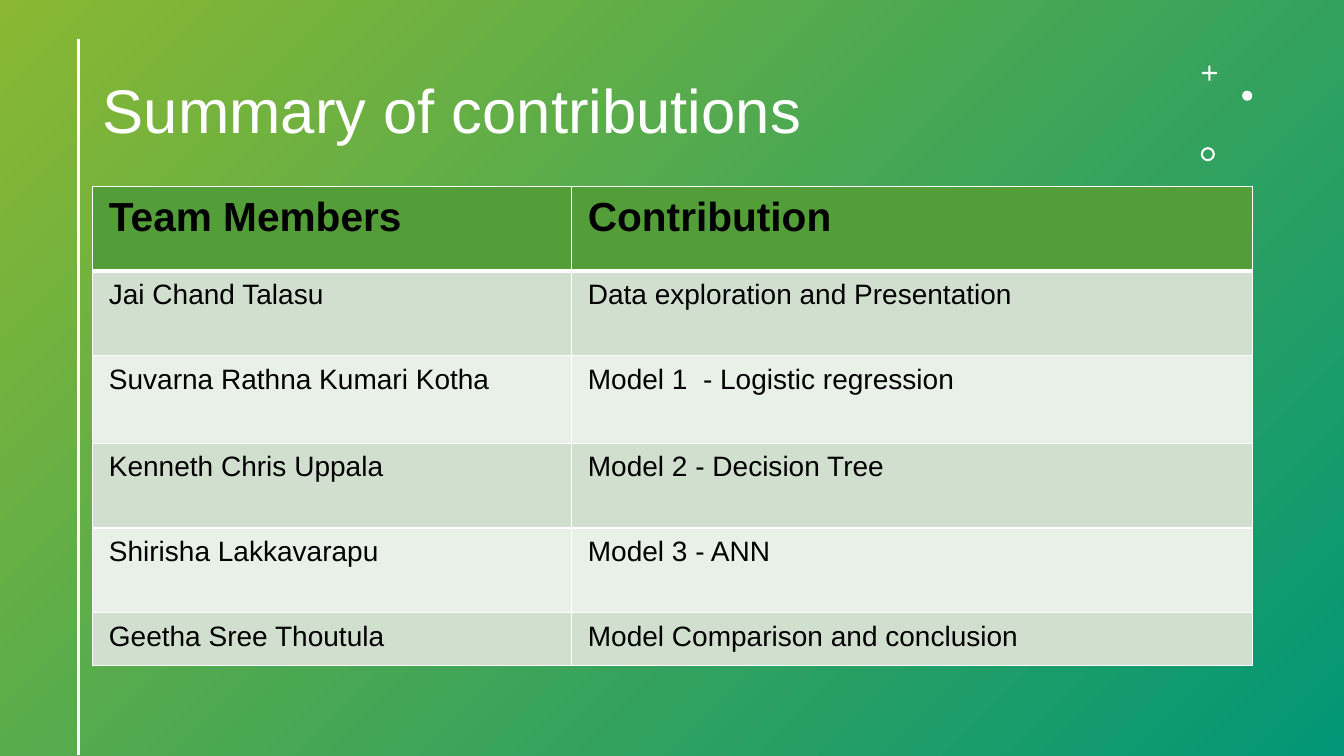
from dataclasses import dataclass

from lxml import etree
from pptx import Presentation
from pptx import util as u
from pptx.dml.color import RGBColor
from pptx.enum import shapes, text
from pptx.oxml import ns


@dataclass(frozen=True)
class Theme:
    font: str = "Arial"
    white: str = "FFFFFF"
    black: str = "000000"
    gradient: tuple = ("8AB833", "029676")
    header: str = "549E39"
    bands: tuple = ("D1DFCE", "E9F0E8")
    title_size: int = 44
    header_size: int = 29
    body_size: int = 20
    thin: int = 1
    rule: int = 2
    thick: int = 3


class Deck:
    def __init__(self, theme):
        self.theme = theme
        self.prs = Presentation()
        self.prs.slide_width = u.Inches(13.33)
        self.prs.slide_height = u.Inches(7.5)
        self.s = self.prs.slides.add_slide(self.prs.slide_layouts[5])

    def style(self, p, size, color, bold=False):
        for r in p.runs:
            r.font.name = self.theme.font
            r.font.size = u.Pt(size)
            r.font.bold = bold
            r.font.color.rgb = RGBColor.from_string(color)

    def shape(self, kind, x, y, w, h, adjust=None):
        sp = self.s.shapes.add_shape(kind, *map(u.Inches, (x, y, w, h)))
        sp.shadow.inherit = False
        sp.line.fill.background()
        sp.fill.solid()
        sp.fill.fore_color.rgb = RGBColor.from_string(self.theme.white)
        if adjust is not None:
            sp.adjustments[0] = adjust
        return sp

    def backdrop(self):
        fill = self.shape(shapes.MSO_SHAPE.RECTANGLE, 0, 0, 13.33, 7.5).fill
        fill.gradient()
        fill.gradient_angle = 315
        for position, (stop, color) in enumerate(zip(fill.gradient_stops, self.theme.gradient)):
            stop.position = position
            stop.color.rgb = RGBColor.from_string(color)

    def title(self, words, x, y, w, h):
        sp = self.s.shapes.title
        self.s.shapes._spTree.append(sp._element)
        sp.left, sp.top, sp.width, sp.height = map(u.Inches, (x, y, w, h))
        tf = sp.text_frame
        tf.text = words
        tf.word_wrap = True
        tf.auto_size = text.MSO_AUTO_SIZE.NONE
        tf.vertical_anchor = text.MSO_ANCHOR.MIDDLE
        p = tf.paragraphs[0]
        p.alignment = text.PP_ALIGN.LEFT
        p.line_spacing = 0.9
        self.style(p, self.theme.title_size, self.theme.white)

    def line(self, x1, y1, x2, y2):
        ln = self.s.shapes.add_connector(
            shapes.MSO_CONNECTOR.STRAIGHT, *map(u.Inches, (x1, y1, x2, y2)))
        ln.line.color.rgb = RGBColor.from_string(self.theme.white)
        ln.line.width = u.Pt(self.theme.rule)
        etree.SubElement(ln._element.spPr, ns.qn("a:effectLst"))

    def border(self, cell, side, width):
        tc_pr = cell._tc.get_or_add_tcPr()
        ln = etree.SubElement(tc_pr, ns.qn(f"a:ln{side}"), w=str(u.Pt(width)))
        fill = etree.SubElement(ln, ns.qn("a:solidFill"))
        etree.SubElement(fill, ns.qn("a:srgbClr"), val=self.theme.white)

    def cell(self, cell, words, row):
        t = self.theme
        is_header = row == 0
        cell.text = words
        cell.margin_left = cell.margin_right = u.Inches(0.16)
        cell.margin_top = cell.margin_bottom = u.Inches(0.08)
        size = t.header_size if is_header else t.body_size
        self.style(cell.text_frame.paragraphs[0], size, t.black, is_header)
        thick_sides = {0: "B", 1: "T"}
        for side in "LRTB":
            self.border(cell, side, t.thick if thick_sides.get(row) == side else t.thin)
        cell.fill.solid()
        color = t.header if is_header else t.bands[(row - 1) % 2]
        cell.fill.fore_color.rgb = RGBColor.from_string(color)

    def table(self, rows, x, y, widths, heights):
        frame = self.s.shapes.add_table(
            len(rows), len(widths),
            *map(u.Inches, (x, y, sum(widths), sum(heights))))
        tbl = frame.table
        for column, width in zip(tbl.columns, widths):
            column.width = u.Inches(width)
        for i, (row, height) in enumerate(zip(rows, heights)):
            tbl.rows[i].height = u.Inches(height)
            for j, words in enumerate(row):
                self.cell(tbl.cell(i, j), words, i)


def main():
    deck = Deck(Theme())
    deck.backdrop()
    deck.title("Summary of contributions", 0.92, 0.4, 10.72, 1.45)
    deck.line(0.78, 0.39, 0.78, 7.49)
    deck.shape(shapes.MSO_SHAPE.CROSS, 11.92, 0.65, 0.15, 0.15, 0.43)
    deck.shape(shapes.MSO_SHAPE.OVAL, 12.32, 0.9, 0.1, 0.1)
    deck.shape(shapes.MSO_SHAPE.DONUT, 11.91, 1.46, 0.14, 0.14, 0.15)
    contributions = [
        ("Team Members", "Contribution"),
        ("Jai Chand Talasu", "Data exploration and Presentation"),
        ("Suvarna Rathna Kumari Kotha", "Model 1  - Logistic regression"),
        ("Kenneth Chris Uppala", "Model 2 - Decision Tree"),
        ("Shirisha Lakkavarapu", "Model 3 - ANN"),
        ("Geetha Sree Thoutula", "Model Comparison and conclusion"),
    ]
    deck.table(contributions, 0.92, 1.85, (4.75, 6.75),
               (0.84, 0.84, 0.87, 0.84, 0.84, 0.52))
    deck.prs.save("out.pptx")


if __name__ == "__main__":
    main()
